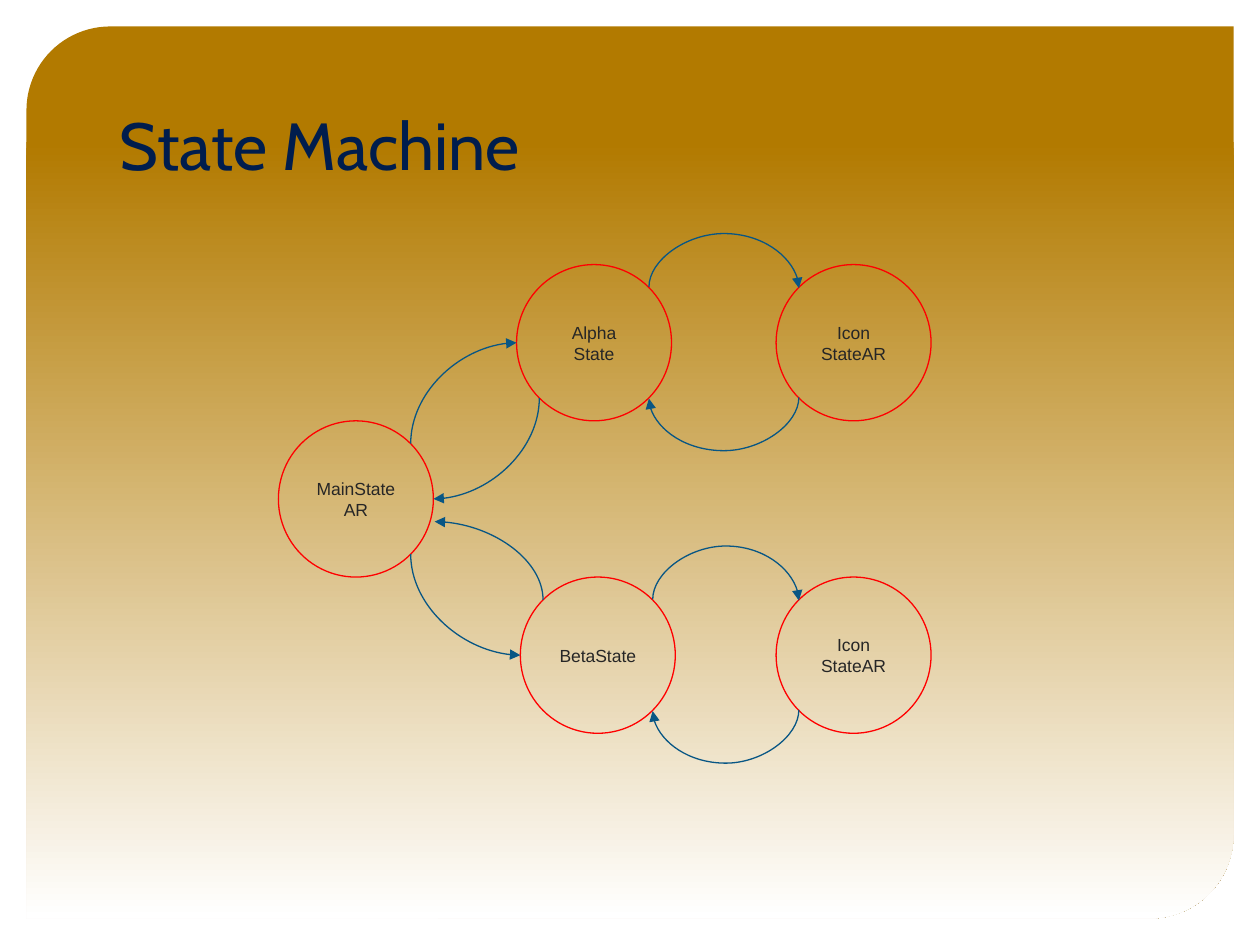
import copy
import math
from lxml import etree
from pptx import Presentation
from pptx.dml.color import RGBColor
from pptx.enum.shapes import MSO_CONNECTOR, MSO_SHAPE
from pptx.enum.text import MSO_ANCHOR, MSO_AUTO_SIZE, PP_ALIGN
from pptx.oxml.ns import qn
from pptx.util import Inches, Pt

CURVE = MSO_CONNECTOR.CURVE
ELLIPSE, PANEL = MSO_SHAPE.OVAL, MSO_SHAPE.ROUND_2_DIAG_RECTANGLE
MIDDLE, BOTTOM = MSO_ANCHOR.MIDDLE, MSO_ANCHOR.BOTTOM
LEFT, CENTER = PP_ALIGN.LEFT, PP_ALIGN.CENTER
NO_FIT = MSO_AUTO_SIZE.NONE

# Connection sites of an ellipse, counter-clockwise from the top
TOP_LEFT, LEFT_SIDE, BOTTOM_LEFT, BOTTOM_RIGHT, RIGHT_SIDE, TOP_RIGHT = 1, 2, 3, 5, 6, 7
STATE_W, STATE_H = 1.23, 1.24
LOOP_RISE = 0.43


def rgb(value):
    return RGBColor.from_string(value)


def site_point(state, site):
    """Return the x and y, in inches, of a connection site on a state circle."""
    left, top = states[state][1:]
    angle = math.radians(45 * site)
    return (left + STATE_W / 2 * (1 - math.sin(angle)),
            top + STATE_H / 2 * (1 - math.cos(angle)))


prs = Presentation()
prs.slide_width, prs.slide_height = Inches(10), Inches(7.5)
s = prs.slides.add_slide(prs.slide_layouts[5])
s.background.fill.solid()
s.background.fill.fore_color.rgb = rgb("FFFFFF")

# Gradient panel behind everything
panel = s.shapes.add_shape(PANEL, Inches(0.21), Inches(0.21), Inches(9.58), Inches(7.08))
panel.shadow.inherit = False
panel.adjustments[0], panel.adjustments[1] = 0.094, 0
panel.line.fill.background()
panel.fill.gradient()
panel.fill.gradient_angle = 270
first, last = panel.fill.gradient_stops
first.color.rgb, last.color.rgb = rgb("B27A00"), rgb("FFFFFF")
stops = panel._element.spPr.find(".//" + qn("a:gsLst"))
hold = copy.deepcopy(stops[0])
hold.set("pos", "13000")
stops.insert(1, hold)
s.shapes._spTree.insert(2, panel._element)

# Title
title = s.shapes.title
title.left, title.top = Inches(0.85), Inches(0.42)
title.width, title.height = Inches(8.29), Inches(1.14)
tf = title.text_frame
tf.text = "State Machine"
tf.auto_size, tf.vertical_anchor = NO_FIT, BOTTOM
tf.margin_left = tf.margin_right = tf.margin_top = tf.margin_bottom = Inches(0.1)
p = tf.paragraphs[0]
p.alignment = LEFT
p.font.name, p.font.size = "Cabin", Pt(38)
p.font.color.rgb = rgb("001D4D")

# States: text, left, top
states = {
    "main": ("MainStateAR", 2.21, 3.34),
    "alpha": ("Alpha State", 4.1, 2.1),
    "beta": ("BetaState", 4.13, 4.58),
    "alpha icon": ("Icon StateAR", 6.16, 2.1),
    "beta icon": ("Icon StateAR", 6.16, 4.58),
}
circles = {}
for name, (text, left, top) in states.items():
    sp = s.shapes.add_shape(ELLIPSE, Inches(left), Inches(top), Inches(STATE_W), Inches(STATE_H))
    sp.shadow.inherit = False
    sp.fill.background()
    sp.line.color.rgb, sp.line.width = rgb("FF0000"), Pt(0.75)
    tf = sp.text_frame
    tf.word_wrap, tf.vertical_anchor = True, MIDDLE
    p = tf.paragraphs[0]
    p.text, p.alignment = text, CENTER
    p.font.name, p.font.size = "Arial", Pt(10)
    p.font.color.rgb = rgb("262626")
    circles[name] = sp

# Transitions: from state and site, to state and site (None: a free end)
transitions = [
    ("alpha", BOTTOM_LEFT, "main", RIGHT_SIDE),
    ("main", TOP_RIGHT, "alpha", LEFT_SIDE),
    ("beta", TOP_LEFT, "main", None),
    ("main", BOTTOM_RIGHT, "beta", LEFT_SIDE),
]
for state in ("alpha", "beta"):
    icon = state + " icon"
    transitions += [(state, TOP_RIGHT, icon, TOP_LEFT),
                    (icon, BOTTOM_LEFT, state, BOTTOM_RIGHT)]

for source, out_site, target, in_site in transitions:
    x1, y1 = site_point(source, out_site)
    x2, y2 = (3.45, 4.14) if in_site is None else site_point(target, in_site)
    is_loop = "icon" in source + target
    # The curve leaves vertically, so its box is turned a quarter: width spans the height
    w, h = (0.01 if is_loop else abs(y2 - y1)), abs(x2 - x1)
    left, top = (x1 + x2 - w) / 2, (y1 + y2 - h) / 2
    c = s.shapes.add_connector(CURVE, Inches(left), Inches(top), Inches(left + w), Inches(top + h))
    c.line.color.rgb, c.line.width = rgb("085684"), Pt(0.75)
    spPr = c._element.spPr
    rightward, downward = x2 > x1, is_loop or y2 > y1
    xfrm = spPr.find(qn("a:xfrm"))
    xfrm.set("rot", str((270 if rightward else 90) * 60000))
    if rightward == downward:
        xfrm.set("flipH", "1")
    geom = spPr.find(qn("a:prstGeom"))
    if is_loop:
        bend = LOOP_RISE / w * (-1 if rightward else 1)
        etree.SubElement(geom.find(qn("a:avLst")), qn("a:gd"),
                         name="adj1", fmla=f"val {round(bend * 100000)}")
    else:
        geom.set("prst", "curvedConnector2")
    etree.SubElement(spPr.find(qn("a:ln")), qn("a:tailEnd"), type="triangle")
    etree.SubElement(spPr, qn("a:effectLst"))
    joints = c._element.find(".//" + qn("p:cNvCxnSpPr"))
    for tag, state, site in (("a:stCxn", source, out_site), ("a:endCxn", target, in_site)):
        if site is not None:
            etree.SubElement(joints, qn(tag), id=str(circles[state].shape_id), idx=str(site))

prs.save("out.pptx")
